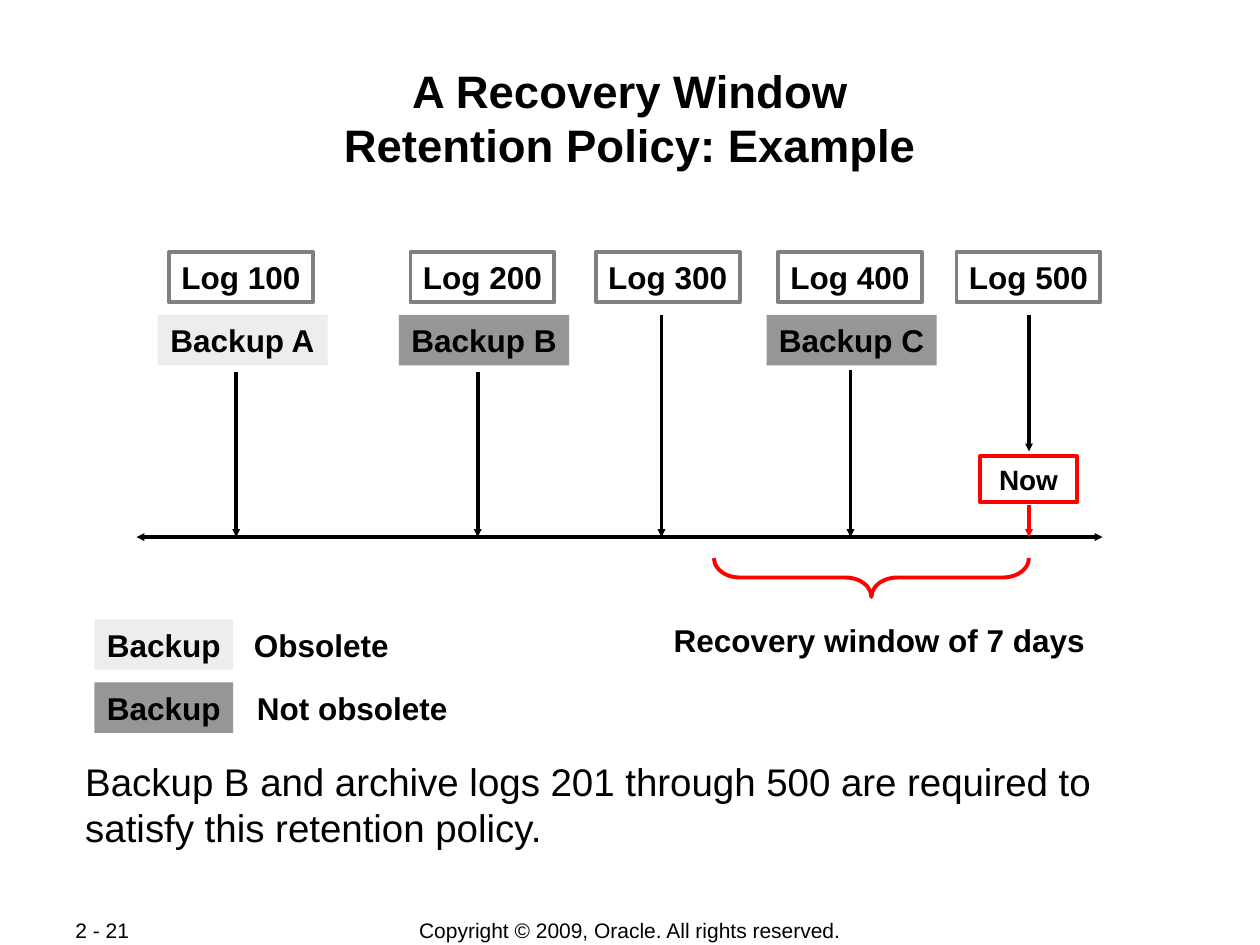
from dataclasses import dataclass
from typing import Optional

import pptx
import pptx.dml.color
import pptx.enum.shapes
import pptx.enum.text
import pptx.oxml
import pptx.oxml.ns
import pptx.util

RGBColor = pptx.dml.color.RGBColor
Shape = pptx.enum.shapes.MSO_SHAPE
Align = pptx.enum.text.PP_ALIGN
Anchor = pptx.enum.text.MSO_ANCHOR

BLACK = RGBColor(0x00, 0x00, 0x00)
WHITE = RGBColor(0xFF, 0xFF, 0xFF)
RED = RGBColor(0xFF, 0x00, 0x00)
FRAME_GREY = RGBColor(0x80, 0x80, 0x80)
KEPT_GREY = RGBColor(0x96, 0x96, 0x96)
OBSOLETE_GREY = RGBColor(0xDD, 0xDD, 0xDD)

GRID = 1 / 12  # one column or row, in inches
LINE_WIDTH = pptx.util.Pt(2.25)
LABEL_FONT = {"name": "Arial", "size": pptx.util.Pt(18), "bold": True}
NOW_FONT = {**LABEL_FONT, "size": pptx.util.Pt(16)}
TITLE_FONT = {**LABEL_FONT, "size": pptx.util.Pt(26)}
BODY_FONT = {**LABEL_FONT, "size": pptx.util.Pt(22), "bold": False}
FOOTER_FONT = {**BODY_FONT, "size": pptx.util.Pt(12)}

LOG_ROW, BACKUP_ROW, AXIS_ROW = 24, 30, 51.15
NOW_COLUMN = 98
LABEL_HEIGHT = 4.8
LOG_WIDTH, BACKUP_WIDTH, KEY_WIDTH = 13.7, 16.2, 13.2


@dataclass(frozen=True)
class Area:
    """A rectangle in grid columns and rows."""
    column: float
    row: float
    columns: float
    rows: float

    def emu(self) -> list[int]:
        return [grid(n) for n in (self.column, self.row, self.columns, self.rows)]


@dataclass(frozen=True)
class Moment:
    """A log on the timeline, with its backup if one was taken."""
    log: str
    log_center: float
    arrow_column: float
    arrow_start: float
    arrow_end: float = AXIS_ROW
    backup: Optional[str] = None
    backup_column: float = 0
    obsolete: bool = False


@dataclass(frozen=True)
class KeyEntry:
    meaning: str
    row: float
    meaning_column: float
    meaning_columns: float
    obsolete: bool


MOMENTS = (
    Moment("Log 100", 22.95, 22.5, 35.4, backup="Backup A", backup_column=15, obsolete=True),
    Moment("Log 200", 45.95, 45.5, 35.4, backup="Backup B", backup_column=38),
    Moment("Log 300", 63.6, 63, BACKUP_ROW),
    Moment("Log 400", 80.95, 81, 35.2, backup="Backup C", backup_column=73),
    Moment("Log 500", 97.95, NOW_COLUMN, BACKUP_ROW, arrow_end=43),
)
KEY = (
    KeyEntry("Obsolete", 59, 22.1, 17, obsolete=True),
    KeyEntry("Not obsolete", 65, 22.3, 22.5, obsolete=False),
)


def grid(steps: float) -> int:
    return pptx.util.Inches(steps * GRID)


def write(shape, text: str, font: dict, align=Align.CENTER, wrap: bool = False,
          anchor=Anchor.MIDDLE, inset: float = 0.1) -> None:
    frame = shape.text_frame
    settings = {
        "word_wrap": wrap, "vertical_anchor": anchor,
        "margin_left": pptx.util.Inches(inset), "margin_right": pptx.util.Inches(inset),
        "margin_top": pptx.util.Inches(inset / 2), "margin_bottom": pptx.util.Inches(inset / 2),
    }
    for name, value in settings.items():
        setattr(frame, name, value)
    paragraph = frame.paragraphs[0]
    paragraph.text = text
    paragraph.alignment = align
    for run in paragraph.runs:
        for name, value in font.items():
            setattr(run.font, name, value)
        run.font.color.rgb = BLACK


def add_text(slide, area: Area, text: str, font: dict, **layout) -> None:
    write(slide.shapes.add_textbox(*area.emu()), text, font, **layout)


def add_outline(slide, area: Area, kind, fill: Optional[RGBColor], line: Optional[RGBColor]):
    shape = slide.shapes.add_shape(kind, *area.emu())
    shape.shadow.inherit = False
    if fill is None:
        shape.fill.background()
    else:
        shape.fill.solid()
        shape.fill.fore_color.rgb = fill
    if line is None:
        shape.line.fill.background()
    else:
        shape.line.color.rgb = line
        shape.line.width = LINE_WIDTH
    return shape


def add_backup(slide, area: Area, text: str, obsolete: bool) -> None:
    fill = OBSOLETE_GREY if obsolete else KEPT_GREY
    box = add_outline(slide, area, Shape.RECTANGLE, fill, None)
    if obsolete:
        tint = box.fill._xPr.find(".//" + pptx.oxml.ns.qn("a:srgbClr"))
        tint.append(pptx.oxml.parse_xml(
            f'<a:alpha {pptx.oxml.ns.nsdecls("a")} val="50000"/>'))
    write(box, text, LABEL_FONT)


def add_arrow(slide, start: tuple[float, float], end: tuple[float, float],
              color: RGBColor = BLACK, ends: tuple[str, ...] = ("tailEnd",)) -> None:
    arrow = slide.shapes.add_connector(
        pptx.enum.shapes.MSO_CONNECTOR.STRAIGHT, *map(grid, start + end))
    arrow.line.color.rgb = color
    arrow.line.width = LINE_WIDTH
    namespace = pptx.oxml.ns.nsdecls("a")
    for tip in ends:
        arrow.line._get_or_add_ln().append(pptx.oxml.parse_xml(
            f'<a:{tip} {namespace} type="triangle" w="sm" len="sm"/>'))
    arrow._element.spPr.append(pptx.oxml.parse_xml(f"<a:effectLst {namespace}/>"))


def add_moment(slide, moment: Moment) -> None:
    column = moment.arrow_column
    add_arrow(slide, (column, moment.arrow_start), (column, moment.arrow_end))
    log_area = Area(moment.log_center - LOG_WIDTH / 2, LOG_ROW, LOG_WIDTH, LABEL_HEIGHT)
    write(add_outline(slide, log_area, Shape.RECTANGLE, WHITE, FRAME_GREY),
          moment.log, LABEL_FONT)
    if moment.backup:
        add_backup(slide, Area(moment.backup_column, BACKUP_ROW, BACKUP_WIDTH, LABEL_HEIGHT),
                   moment.backup, moment.obsolete)


def add_recovery_window(slide) -> None:
    depth, length = 3.7, 30
    center_column, center_row = NOW_COLUMN - length / 2, 55
    area = Area(center_column - depth / 2, center_row - length / 2, depth, length)
    brace = add_outline(slide, area, Shape.LEFT_BRACE, None, RED)
    brace.rotation = 270
    brace.adjustments[0] = 0.67
    add_text(slide, Area(61.75, 58.5, 44, LABEL_HEIGHT), "Recovery window of 7 days", LABEL_FONT)


def add_key_entry(slide, entry: KeyEntry) -> None:
    add_backup(slide, Area(9, entry.row, KEY_WIDTH, LABEL_HEIGHT), "Backup", entry.obsolete)
    add_text(slide, Area(entry.meaning_column, entry.row, entry.meaning_columns, LABEL_HEIGHT),
             entry.meaning, LABEL_FONT)


def main() -> None:
    deck = pptx.Presentation()
    deck.slide_width, deck.slide_height = grid(120), grid(90)
    slide = deck.slides.add_slide(deck.slide_layouts[6])

    prose = {"wrap": True, "anchor": Anchor.TOP, "inset": 0.01}
    add_text(slide, Area(8, 5.9, 104, 11.5), "A Recovery Window\vRetention Policy: Example",
             TITLE_FONT, **prose)
    add_arrow(slide, (13, AXIS_ROW), (105, AXIS_ROW), ends=("headEnd", "tailEnd"))
    for moment in MOMENTS:
        add_moment(slide, moment)
    now_box = add_outline(slide, Area(93.35, 43.45, 9.2, 4.4), Shape.RECTANGLE, None, RED)
    write(now_box, "Now", NOW_FONT)
    add_arrow(slide, (NOW_COLUMN, 48.1), (NOW_COLUMN, AXIS_ROW), RED)
    add_recovery_window(slide)
    for entry in KEY:
        add_key_entry(slide, entry)
    add_text(slide, Area(8, 72.1, 104, 9.1),
             "Backup B and archive logs 201 through 500 are required to satisfy "
             "this retention policy.", BODY_FONT, align=Align.LEFT, **prose)
    add_text(slide, Area(6, 87.35, 12.7, 2.5), "2 - 21", FOOTER_FONT, align=Align.LEFT)
    add_text(slide, Area(33, 87.35, 54, 2.5),
             "Copyright © 2009, Oracle. All rights reserved.", FOOTER_FONT)
    deck.save("out.pptx")


if __name__ == "__main__":
    main()
